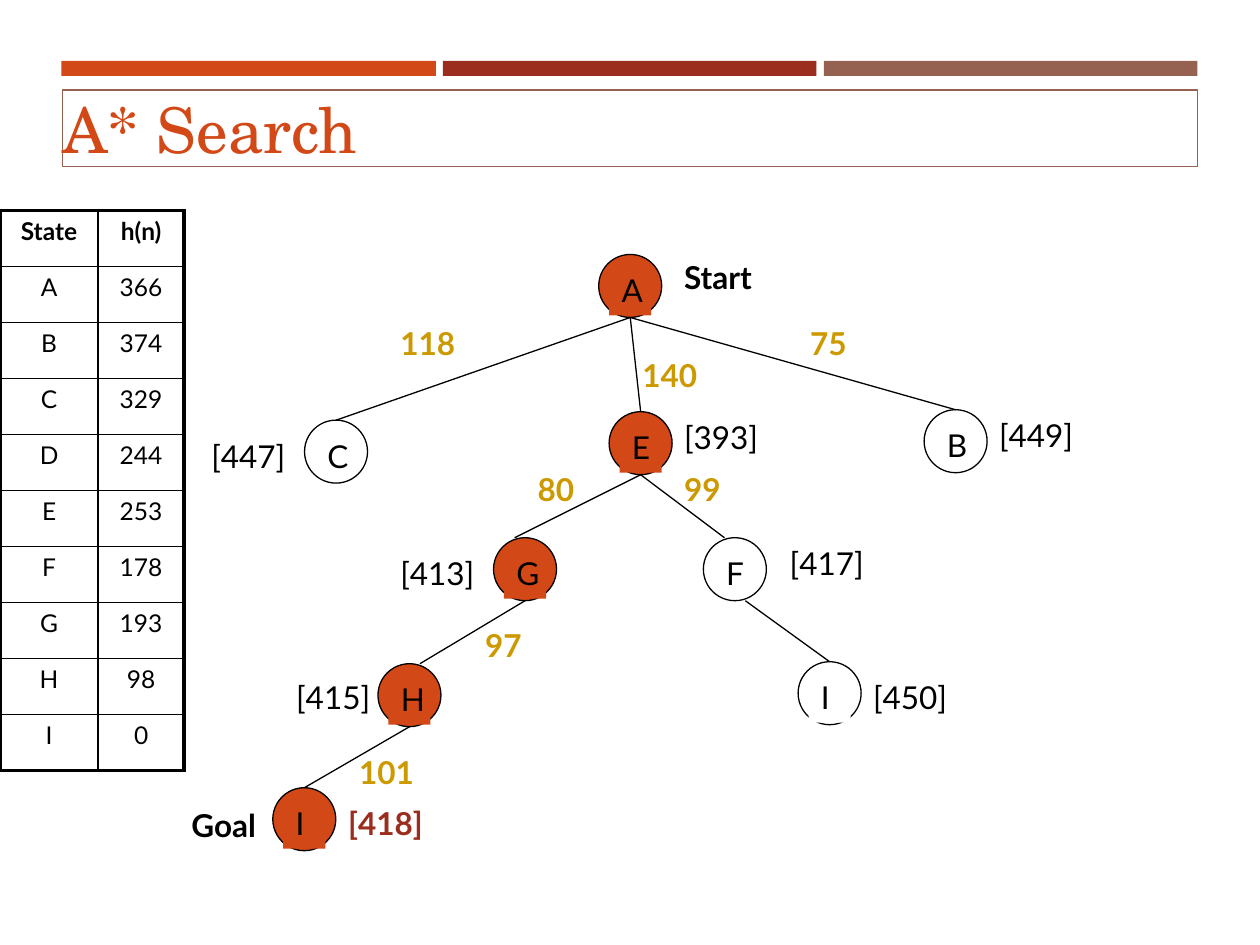
"""Build a slide showing an A* search tree with its heuristic table."""
from lxml.etree import SubElement
from pptx import Presentation
from pptx.dml.color import RGBColor
from pptx.enum.shapes import MSO_CONNECTOR, MSO_SHAPE
from pptx.enum.text import MSO_ANCHOR, MSO_AUTO_SIZE, PP_ALIGN
from pptx.oxml.ns import qn
from pptx.util import Cm, Pt

ORANGE = RGBColor(0xD3, 0x48, 0x17)
RED = RGBColor(0x9B, 0x2D, 0x1F)
BROWN = RGBColor(0x95, 0x62, 0x51)
GOLD = RGBColor(0xCC, 0x99, 0x00)
BLACK = RGBColor(0, 0, 0)
WHITE = RGBColor(0xFF, 0xFF, 0xFF)

TITLE = "A* Search"
BARS = [(1.24, 7.55, ORANGE), (8.93, 7.53, RED), (16.61, 7.53, BROWN)]
HEURISTIC = [("State", "h(n)"), ("A", 366), ("B", 374), ("C", 329), ("D", 244),
             ("E", 253), ("F", 178), ("G", 193), ("H", 98), ("I", 0)]
COL_WIDTHS = (1.98, 1.73)
ROW_HEIGHT = 1.13

# Node key: letter, left, top, fill
NODES = {
    "A": ("A", 12.07, 5.13, ORANGE),
    "B": ("B", 18.63, 8.26, None),
    "C": ("C", 6.14, 8.47, None),
    "E": ("E", 12.28, 8.3, ORANGE),
    "F": ("F", 14.18, 10.84, None),
    "G": ("G", 9.95, 10.84, ORANGE),
    "H": ("H", 7.62, 13.38, ORANGE),
    "goal": ("I", 5.5, 15.88, ORANGE),
    "I": ("I", 16.09, 13.34, WHITE),
}
DIAMETER, INSET = 1.27, 0.21
LABEL_HEIGHT = 1.02
EDGES = [("A", "B", 0, 0), ("A", "E", 0, 0), ("A", "C", 0, 0),
         ("E", "F", 0, -INSET), ("E", "G", 0, -INSET), ("G", "H", 0, INSET),
         ("H", "goal", 0, 0), ("F", "I", INSET, 0)]
STEP_COSTS = [("118", 7.82, 6.4, 2.11), ("140", 12.7, 7.06, 2.11),
              ("75", 16.08, 6.4, 1.7), ("80", 10.59, 9.35, 1.7),
              ("99", 13.54, 9.35, 1.7), ("97", 9.53, 12.5, 1.7),
              ("101", 6.99, 15.06, 2.34)]
TOTALS = [("[393]", 13.54, 8.31), ("[449]", 19.89, 8.26), ("[447]", 4.01, 8.69),
          ("[417]", 15.67, 10.85), ("[413]", 7.82, 11.05),
          ("[415]", 5.72, 13.54), ("[450]", 17.35, 13.54)]
MARKS = [("Start", 13.54, 5.08, 3.38, BLACK), ("Goal", 3.61, 16.13, 3.38, BLACK),
         ("[418]", 6.77, 16.08, 2.54, RED)]


def write(tf, text, size=18, font="Lato", color=BLACK, bold=False,
          align=PP_ALIGN.LEFT):
    p = tf.paragraphs[0]
    p.alignment = align
    r = p.add_run()
    r.text = str(text)
    r.font.size, r.font.name, r.font.bold = Pt(size), font, bold
    r.font.color.rgb = color


def add_label(shapes, text, x, y, w, fill=None, **fmt):
    sp = shapes.add_textbox(Cm(x), Cm(y), Cm(w), Cm(LABEL_HEIGHT))
    if fill is not None:
        sp.fill.solid()
        sp.fill.fore_color.rgb = fill
    sp.text_frame.word_wrap = True
    sp.text_frame.auto_size = MSO_AUTO_SIZE.SHAPE_TO_FIT_TEXT
    write(sp.text_frame, text, **fmt)


def add_plain(shapes, kind, x, y, w, h, fill=None, line=None):
    sp = shapes.add_shape(kind, Cm(x), Cm(y), Cm(w), Cm(h))
    sp.shadow.inherit = False
    if fill is None:
        sp.fill.background()
    else:
        sp.fill.solid()
        sp.fill.fore_color.rgb = fill
    if line is None:
        sp.line.fill.background()
    else:
        sp.line.color.rgb = line
        sp.line.width = Pt(0.75)


def add_node(s, letter, x, y, fill):
    shapes = s.shapes.add_group_shape().shapes
    add_plain(shapes, MSO_SHAPE.OVAL, x, y, DIAMETER, DIAMETER, fill, BLACK)
    add_label(shapes, letter, x + INSET, y + INSET, DIAMETER - 2 * INSET, fill)


def add_edge(s, parent, child, shift_from, shift_to):
    _, x1, y1, _ = NODES[parent]
    _, x2, y2, _ = NODES[child]
    mid = DIAMETER / 2
    line = s.shapes.add_connector(
        MSO_CONNECTOR.STRAIGHT, Cm(x1 + mid + shift_from), Cm(y1 + DIAMETER),
        Cm(x2 + mid + shift_to), Cm(y2))
    line.line.color.rgb = BLACK
    line.line.width = Pt(0.75)
    SubElement(line._element.spPr, qn("a:effectLst"))


def set_borders(cell, widths):
    tcPr = cell._tc.get_or_add_tcPr()
    for i, (side, width) in enumerate(widths.items()):
        ln = tcPr.makeelement(qn(f"a:ln{side}"), {"w": str(Pt(width))})
        color = SubElement(SubElement(ln, qn("a:solidFill")), qn("a:srgbClr"))
        color.set("val", str(BLACK))
        tcPr.insert(i, ln)


def add_heuristic(s):
    rows, cols = len(HEURISTIC), len(COL_WIDTHS)
    tbl = s.shapes.add_table(rows, cols, Cm(0), Cm(4.24), Cm(sum(COL_WIDTHS)),
                             Cm(rows * ROW_HEIGHT)).table
    for col, width in zip(tbl.columns, COL_WIDTHS):
        col.width = Cm(width)
    for i, values in enumerate(HEURISTIC):
        tbl.rows[i].height = Cm(ROW_HEIGHT)
        for j, value in enumerate(values):
            cell = tbl.cell(i, j)
            cell.fill.background()
            write(cell.text_frame, value, size=14, bold=i == 0,
                  align=PP_ALIGN.CENTER)
            outer = {"L": j == 0, "R": j == cols - 1,
                     "T": i == 0, "B": i == rows - 1}
            set_borders(cell, {k: 2.25 if v else 1 for k, v in outer.items()})


def add_title(s):
    sp = s.shapes.title
    sp.left, sp.top, sp.width, sp.height = Cm(1.26), Cm(1.81), Cm(22.88), Cm(1.55)
    sp.line.color.rgb = BROWN
    sp.line.width = Pt(1)
    tf = sp.text_frame
    tf.margin_left = tf.margin_right = tf.margin_top = tf.margin_bottom = 0
    tf.vertical_anchor = MSO_ANCHOR.MIDDLE
    write(tf, TITLE, size=36, font="TeX Gyre Schola", color=ORANGE)


def main():
    prs = Presentation()
    prs.slide_width, prs.slide_height = Cm(25.4), Cm(19.05)
    s = prs.slides.add_slide(prs.slide_layouts[5])
    add_title(s)
    for x, w, color in BARS:
        add_plain(s.shapes, MSO_SHAPE.RECTANGLE, x, 1.23, w, 0.3, color)
    add_heuristic(s)
    for node in NODES.values():
        add_node(s, *node)
    for edge in EDGES:
        add_edge(s, *edge)
    for text, x, y, w in STEP_COSTS:
        add_label(s.shapes, text, x, y, w, color=GOLD, bold=True)
    for text, x, y in TOTALS:
        add_label(s.shapes, text, x, y, 2.11)
    for text, x, y, w, color in MARKS:
        add_label(s.shapes, text, x, y, w, color=color, bold=True)
    prs.save("out.pptx")


if __name__ == "__main__":
    main()
